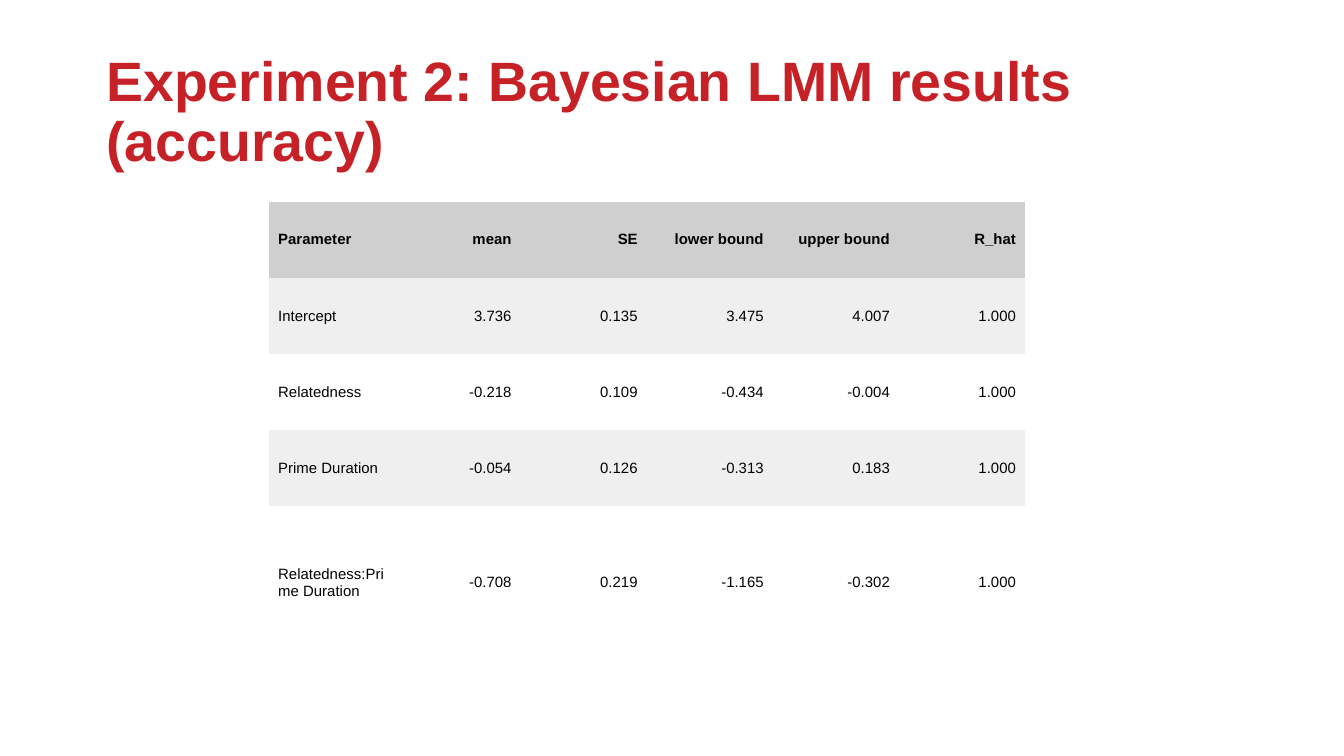
from dataclasses import dataclass

from pptx import Presentation
from pptx.dml.color import RGBColor
from pptx.enum.text import MSO_ANCHOR, MSO_AUTO_SIZE, PP_ALIGN
from pptx.oxml.ns import qn
from pptx.util import Inches, Pt


@dataclass(frozen=True)
class Theme:
    font: str = "Arial"
    title_size: float = 29.7
    cell_size: float = 8
    cell_spacing: float = 5
    cell_inset: float = 0.07
    accent: str = "C62127"
    ink: str = "000000"
    header_fill: str = "CFCFCF"
    band_fill: str = "EFEFEF"
    plain_table: str = "{2D5ABB26-0587-4C30-8999-92F81FD0307C}"


THEME = Theme()
WIDTH = Inches(10)
HEIGHT = WIDTH * 9 // 16
TITLE_PERCENT = (6.9, 5.33, 86.2, 19.4)
RESULTS_PERCENT = (20, 26.67, 56.3, 60.5)
ROW_WEIGHTS = (1, 1, 1, 1, 2)
RESULTS = (
    ("Parameter", "mean", "SE", "lower bound", "upper bound", "R_hat"),
    ("Intercept", "3.736", "0.135", "3.475", "4.007", "1.000"),
    ("Relatedness", "-0.218", "0.109", "-0.434", "-0.004", "1.000"),
    ("Prime Duration", "-0.054", "0.126", "-0.313", "0.183", "1.000"),
    ("Relatedness:Prime Duration", "-0.708", "0.219", "-1.165", "-0.302", "1.000"),
)


def place(percents):
    return [int(share * side / 100) for share, side in zip(percents, (WIDTH, HEIGHT) * 2)]


def add_run(paragraph, words, size, color, bold):
    run = paragraph.add_run()
    run.text = words
    run.font.name = THEME.font
    run.font.size = Pt(size)
    run.font.bold = bold
    run.font.color.rgb = RGBColor.from_string(color)


def fill_title(slide, box, words):
    title = slide.shapes.title
    title.left, title.top, title.width, title.height = box
    frame = title.text_frame
    frame.word_wrap = True
    frame.auto_size = MSO_AUTO_SIZE.NONE
    frame.vertical_anchor = MSO_ANCHOR.MIDDLE
    heading = frame.paragraphs[0]
    heading.alignment = PP_ALIGN.LEFT
    heading.line_spacing = 0.9
    add_run(heading, words, THEME.title_size, THEME.accent, True)


def fill_cell(cell, words, row, column):
    cell.margin_left = cell.margin_right = Inches(THEME.cell_inset)
    cell.margin_top = cell.margin_bottom = 0
    cell.vertical_anchor = MSO_ANCHOR.MIDDLE
    if row % 2 or row == 0:
        cell.fill.solid()
        color = THEME.band_fill if row else THEME.header_fill
        cell.fill.fore_color.rgb = RGBColor.from_string(color)
    else:
        cell.fill.background()
    entry = cell.text_frame.paragraphs[0]
    entry.alignment = PP_ALIGN.RIGHT if column else PP_ALIGN.LEFT
    entry.space_before = entry.space_after = Pt(THEME.cell_spacing)
    add_run(entry, words, THEME.cell_size, THEME.ink, row == 0)


def add_results(slide, box, results):
    left, top, width, height = box
    table = slide.shapes.add_table(
        len(results), len(results[0]), left, top, width, height
    ).table
    table._tbl.tblPr.find(qn("a:tableStyleId")).text = THEME.plain_table
    for column in table.columns:
        column.width = width // len(results[0])
    for row, weight in zip(table.rows, ROW_WEIGHTS):
        row.height = height * weight // sum(ROW_WEIGHTS)
    for r, entries in enumerate(results):
        for c, words in enumerate(entries):
            fill_cell(table.cell(r, c), words, r, c)


def main():
    deck = Presentation()
    deck.slide_width, deck.slide_height = WIDTH, HEIGHT
    slide = deck.slides.add_slide(deck.slide_layouts[5])
    fill_title(slide, place(TITLE_PERCENT), "Experiment 2: Bayesian LMM results (accuracy)")
    add_results(slide, place(RESULTS_PERCENT), RESULTS)
    deck.save("out.pptx")


if __name__ == "__main__":
    main()
